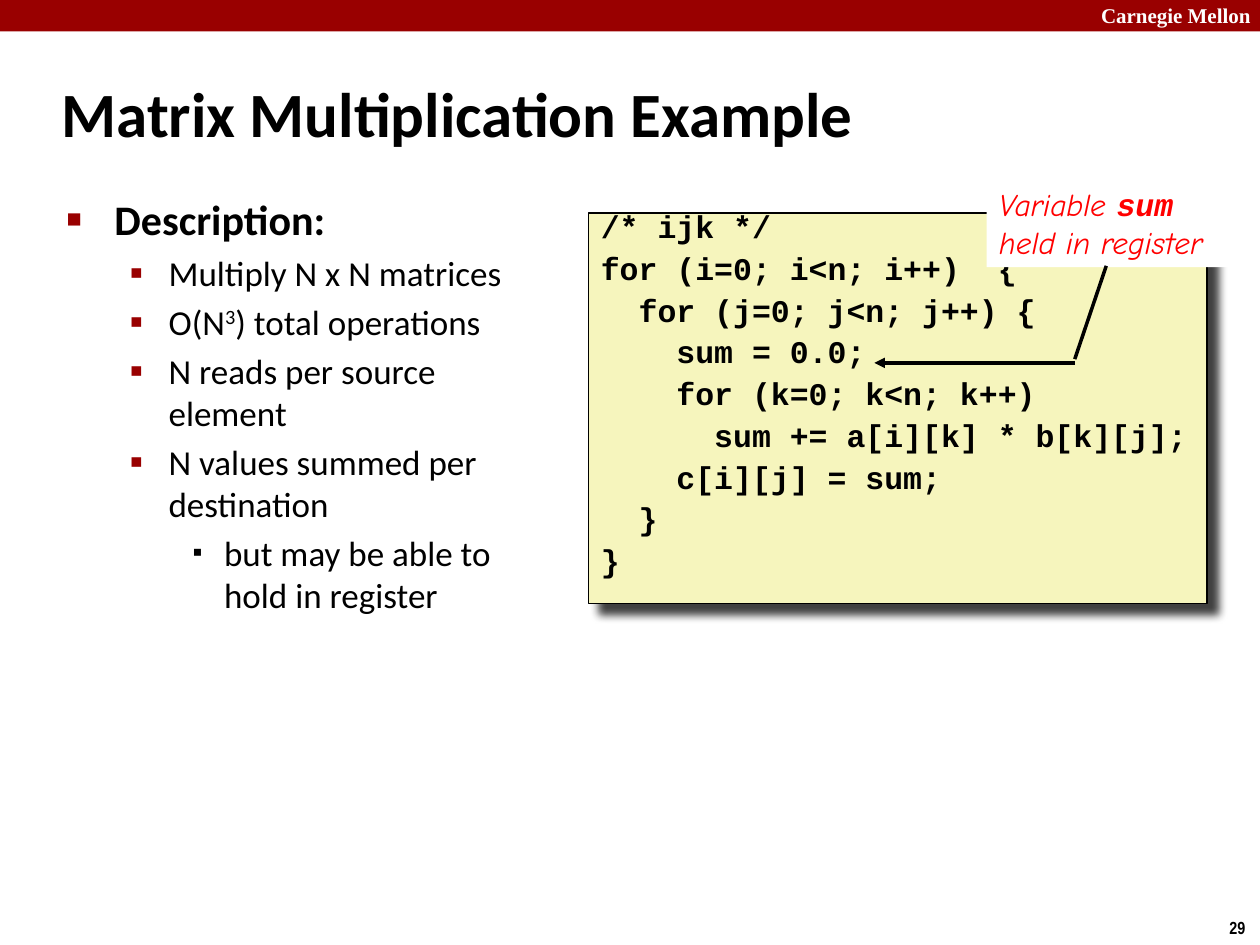
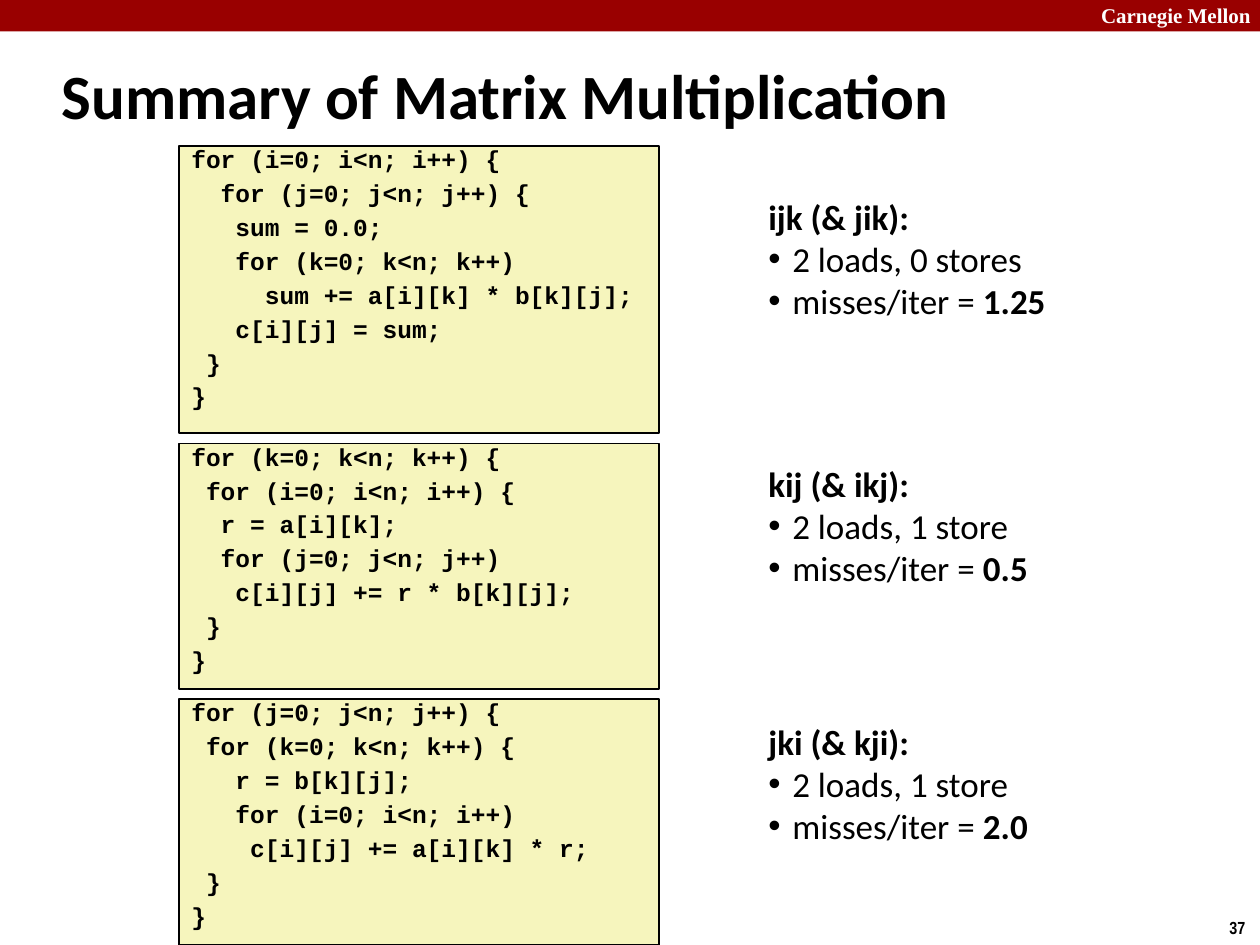
import dataclasses

import pptx
import pptx.dml.color
import pptx.enum.shapes
import pptx.enum.text
import pptx.oxml.ns
import pptx.util
from lxml import etree
from pptx.util import Inches


@dataclasses.dataclass(frozen=True)
class Theme:
    band: str = "990000"
    code_fill: str = "F6F5BD"
    ink: str = "000000"
    paper: str = "FFFFFF"
    alert: str = "FF0000"
    body_font: str = "Calibri"
    code_font: str = "Courier New"
    note_font: str = "Comic Neue"
    header_font: str = "Times New Roman"
    number_font: str = "Arial Narrow"
    title_size: float = 36
    heading_size: float = 24
    body_size: float = 20
    note_size: float = 18
    header_size: float = 12
    number_size: float = 10


@dataclasses.dataclass(frozen=True)
class Bullet:
    char: str
    left: float
    hanging: float
    percent: int
    color: str


THEME = Theme()
BULLETS = [
    Bullet("■", 0.38, 0.38, 60, THEME.band),
    Bullet("▪", 0.81, 0.31, 110, THEME.band),
    Bullet("▪", 1.25, 0.25, 80, THEME.ink),
]
SUMMARY_BULLET = Bullet("•", 0.19, 0.19, 100, THEME.ink)

DESCRIPTION = [
    (0, ["Description:"]),
    (1, ["Multiply N x N matrices"]),
    (1, ["O(N", "3", ") total operations"]),
    (1, ["N reads per source element"]),
    (1, ["N values summed per destination"]),
    (2, ["but may be able to hold in register"]),
]

IJK_EXAMPLE = """/* ijk */
for (i=0; i<n; i++)  {
  for (j=0; j<n; j++) {
    sum = 0.0;
    for (k=0; k<n; k++)
      sum += a[i][k] * b[k][j];
    c[i][j] = sum;
  }
}"""

IJK_CODE = """for (i=0; i<n; i++) {
  for (j=0; j<n; j++) {
   sum = 0.0;
   for (k=0; k<n; k++)
     sum += a[i][k] * b[k][j];
   c[i][j] = sum;
 }
}"""

KIJ_CODE = """for (k=0; k<n; k++) {
 for (i=0; i<n; i++) {
  r = a[i][k];
  for (j=0; j<n; j++)
   c[i][j] += r * b[k][j];
 }
}"""

JKI_CODE = """for (j=0; j<n; j++) {
 for (k=0; k<n; k++) {
   r = b[k][j];
   for (i=0; i<n; i++)
    c[i][j] += a[i][k] * r;
 }
}"""

# code, top of its summary, loop orders, memory traffic, misses per iteration
LOOP_ORDERS = [
    (IJK_CODE, 1.5, "ijk (& jik):", "2 loads, 0 stores", "1.25"),
    (KIJ_CODE, 3.62, "kij (& ikj):", "2 loads, 1 store", "0.5"),
    (JKI_CODE, 5.67, "jki (& kji):", "2 loads, 1 store", "2.0"),
]


def rgb(color):
    return pptx.dml.color.RGBColor.from_string(color)


def sub(parent, tag, **attributes):
    """Append a drawing element, with its attributes turned into text."""
    values = {name: str(value) for name, value in attributes.items()}
    return etree.SubElement(parent, pptx.oxml.ns.qn(tag), values)


class Deck:
    """Holds the theme and the slide being filled."""

    def __init__(self, theme):
        self.theme = theme
        self.presentation = pptx.Presentation()
        self.presentation.slide_width = Inches(10)
        self.presentation.slide_height = Inches(7.5)
        self.slide = None

    def start_slide(self, title, title_top, number):
        theme = self.theme
        self.slide = self.presentation.slides.add_slide(self.presentation.slide_layouts[6])
        self.rectangle(0, 0, 10, 0.25, theme.band)
        self.label("Carnegie Mellon", 8.64, -0.03, 1.43, 0.3,
                   theme.header_font, theme.header_size, theme.paper)
        self.label(str(number), 9.66, 7.23, 0.34, 0.27,
                   theme.number_font, theme.number_size, theme.ink)
        frame = self.label(title, 0.39, title_top, 8.3, 0.83,
                           theme.body_font, theme.title_size, theme.ink)
        frame.vertical_anchor = pptx.enum.text.MSO_ANCHOR.MIDDLE

    def rectangle(self, left, top, width, height, fill, outlined=False):
        box = self.slide.shapes.add_shape(
            pptx.enum.shapes.MSO_SHAPE.RECTANGLE,
            Inches(left), Inches(top), Inches(width), Inches(height))
        box.shadow.inherit = False
        box.fill.solid()
        box.fill.fore_color.rgb = rgb(fill)
        if outlined:
            box.line.color.rgb = rgb(self.theme.ink)
            box.line.width = pptx.util.Pt(1)
        else:
            box.line.fill.background()
        box.text_frame.word_wrap = True
        box.text_frame.vertical_anchor = pptx.enum.text.MSO_ANCHOR.TOP
        return box

    def text_frame(self, left, top, width, height):
        frame = self.slide.shapes.add_textbox(
            Inches(left), Inches(top), Inches(width), Inches(height)).text_frame
        frame.word_wrap = True
        return frame

    def label(self, text, left, top, width, height, font, size, color):
        """Add one bold line of text."""
        frame = self.text_frame(left, top, width, height)
        frame.text = text
        self.style(frame.paragraphs[0].runs[0], font, size, color, bold=True)
        return frame

    def style(self, run, font, size, color, bold=False, italic=False):
        run.font.name = font
        run.font.size = pptx.util.Pt(size)
        run.font.color.rgb = rgb(color)
        run.font.bold = bold
        run.font.italic = italic

    def paragraph(self, frame, texts, bullet=None):
        """Fill the first empty paragraph, or add one, with a run for each text."""
        first = frame.paragraphs[0]
        paragraph = frame.add_paragraph() if first.runs else first
        paragraph.alignment = pptx.enum.text.PP_ALIGN.LEFT
        if bullet:
            properties = paragraph._p.get_or_add_pPr()
            properties.set("marL", str(Inches(bullet.left)))
            properties.set("indent", str(-Inches(bullet.hanging)))
            sub(sub(properties, "a:buClr"), "a:srgbClr", val=bullet.color)
            sub(properties, "a:buSzPct", val=bullet.percent * 1000)
            sub(properties, "a:buFont", typeface="Arial")
            sub(properties, "a:buChar", char=bullet.char)
        for text in texts:
            paragraph.add_run().text = text
        return paragraph

    def outline(self, entries, left, top, width, height):
        """Add levelled bullets; the second run of an entry is superscript."""
        theme = self.theme
        frame = self.text_frame(left, top, width, height)
        for position, (level, texts) in enumerate(entries):
            paragraph = self.paragraph(frame, texts, BULLETS[level])
            paragraph.level = level
            if position:
                paragraph.space_before = pptx.util.Pt(4)
            size = theme.body_size if level else theme.heading_size
            for run in paragraph.runs:
                self.style(run, theme.body_font, size, theme.ink, bold=level == 0)
            if len(texts) > 1:
                paragraph.runs[1]._r.get_or_add_rPr().set("baseline", "30000")

    def code(self, source, left, top, width, height, size, line_spacing):
        box = self.rectangle(left, top, width, height, self.theme.code_fill, outlined=True)
        box.text_frame.text = source
        for position, line in enumerate(box.text_frame.paragraphs):
            line.alignment = pptx.enum.text.PP_ALIGN.LEFT
            line.line_spacing = line_spacing
            if position:
                line.space_before = pptx.util.Pt(round(size * 0.545, 1))
            self.style(line.runs[0], self.theme.code_font, size, self.theme.ink, bold=True)
        return box

    def drop_shadow(self, box):
        effects = box._element.spPr.find(pptx.oxml.ns.qn("a:effectLst"))
        shadow = sub(effects, "a:outerShdw", blurRad=pptx.util.Pt(5),
                     dist=pptx.util.Pt(8.5), dir=45 * 60000, algn="tl", rotWithShape=0)
        sub(sub(shadow, "a:srgbClr", val=self.theme.ink), "a:alpha", val=75000)

    def note(self, lines, left, top, width, height):
        """Add a red note; the second run of a line is set as code."""
        theme = self.theme
        frame = self.rectangle(left, top, width, height, theme.paper).text_frame
        for texts in lines:
            for position, run in enumerate(self.paragraph(frame, texts).runs):
                font = theme.code_font if position else theme.note_font
                self.style(run, font, theme.note_size, theme.alert,
                           bold=position > 0, italic=True)

    def line(self, start, end, arrow=False):
        connector = self.slide.shapes.add_connector(
            pptx.enum.shapes.MSO_CONNECTOR.STRAIGHT,
            *(Inches(value) for value in (*start, *end)))
        connector.line.color.rgb = rgb(self.theme.ink)
        connector.line.width = pptx.util.Pt(2)
        if arrow:
            sub(connector.line._get_or_add_ln(), "a:tailEnd", type="triangle")
        sub(connector._element.spPr, "a:effectLst")

    def summary(self, orders, traffic, misses, left, top, width, height):
        theme = self.theme
        frame = self.text_frame(left, top, width, height)
        self.paragraph(frame, [orders])
        self.paragraph(frame, [traffic], SUMMARY_BULLET)
        self.paragraph(frame, ["misses/iter = ", misses], SUMMARY_BULLET)
        for paragraph in frame.paragraphs:
            for run in paragraph.runs:
                self.style(run, theme.body_font, theme.body_size, theme.ink,
                           bold=run.text in (orders, misses))


def add_example(deck):
    deck.start_slide("Matrix Multiplication Example", 0.48, 29)
    deck.outline(DESCRIPTION, 0.43, 1.49, 3.98, 5.44)
    deck.drop_shadow(deck.code(IJK_EXAMPLE, 4.67, 1.69, 4.91, 3.1, 18, 0.65))
    deck.note([["Variable ", "sum"], ["held in register"]], 7.83, 1.42, 2.05, 0.7)
    deck.line((8.53, 2.88), (6.94, 2.88), arrow=True)
    deck.line((8.78, 2.11), (8.53, 2.85))


def add_summary(deck):
    deck.start_slide("Summary of Matrix Multiplication", 0.33, 37)
    code_top = 1.16
    for source, summary_top, orders, traffic, misses in LOOP_ORDERS:
        deck.summary(orders, traffic, misses, 6, summary_top, 2.54, 1.11)
        code_height = 0.33 * len(source.splitlines()) - 0.36
        deck.code(source, 1.42, code_top, 3.81, code_height, 14, 0.7)
        code_top += code_height + 0.08


def main():
    deck = Deck(THEME)
    add_example(deck)
    add_summary(deck)
    deck.presentation.save("out.pptx")


if __name__ == "__main__":
    main()
